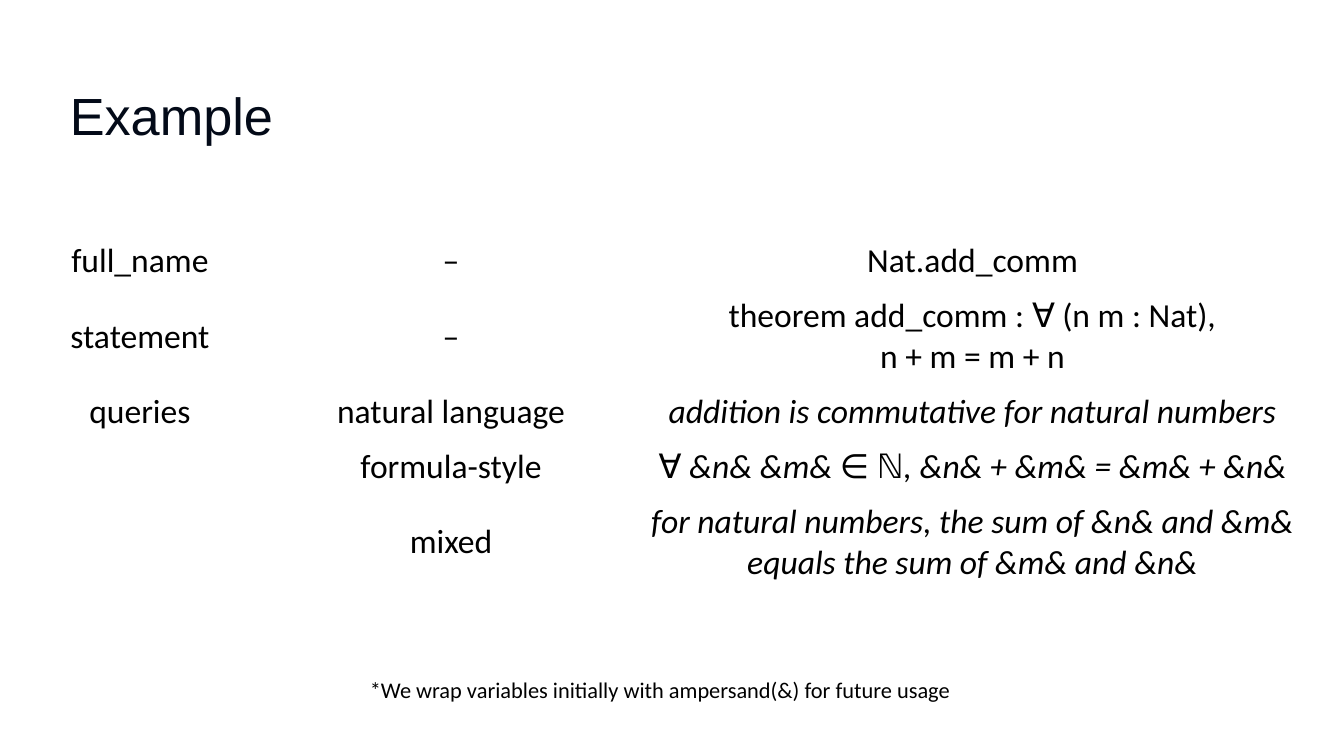
from pptx import Presentation
from pptx.dml.color import RGBColor
from pptx.enum.text import MSO_ANCHOR, PP_ALIGN
from pptx.util import Cm, Pt

LEFT, CENTER = PP_ALIGN.LEFT, PP_ALIGN.CENTER
TOP, MIDDLE = MSO_ANCHOR.TOP, MSO_ANCHOR.MIDDLE
TITLE_ONLY = 5

COLORS = {"title": "030A18", "text": "000000"}
INSETS = {f"margin_{side}": Cm(0.13) for side in ("left", "top", "right", "bottom")}
TITLE_FONT = {"name": "Arial", "size": Pt(28), "bold": False}
CELL_FONT = {"name": "Calibri", "size": Pt(18), "bold": False}
NOTE_FONT = {"name": "Calibri", "size": Pt(12)}

COLUMN_WIDTHS = (4.93, 6.83, 12.88)
LINE_HEIGHTS = {1: 0.94, 2: 1.68}
# Each row: number of text lines, italic example, cell texts
ROWS = (
    (1, False, ("full_name", "–", "Nat.add_comm")),
    (2, False, ("statement", "–", "theorem add_comm : ∀ (n m : Nat),\nn + m = m + n")),
    (1, True, ("queries", "natural language",
               "addition is commutative for natural numbers")),
    (1, True, ("", "formula-style", "∀ &n& &m& ∈ ℕ, &n& + &m& = &m& + &n&")),
    (2, True, ("", "mixed", "for natural numbers, the sum of &n& and &m& "
                            "equals the sum of &m& and &n&")),
)


def set_all(target, values):
    for name, value in values.items():
        setattr(target, name, value)


class SlideBuilder:
    """Holds the shared style and the slide being filled."""

    def __init__(self, deck):
        self.slide = deck.slides.add_slide(deck.slide_layouts[TITLE_ONLY])

    def fill_text(self, frame, text, font, color="text", align=LEFT):
        frame.text = text
        for para in frame.paragraphs:
            para.alignment = align
            set_all(para.font, font)
            para.font.color.rgb = RGBColor.from_string(COLORS[color])

    def title(self, text, left, top, width, height):
        box = self.slide.shapes.title
        set_all(box, {"left": Cm(left), "top": Cm(top),
                      "width": Cm(width), "height": Cm(height)})
        set_all(box.text_frame, {**INSETS, "vertical_anchor": MIDDLE})
        self.fill_text(box.text_frame, text, TITLE_FONT, "title")

    def note(self, text, left, top, width, height):
        box = self.slide.shapes.add_textbox(Cm(left), Cm(top), Cm(width), Cm(height))
        set_all(box.text_frame, {**INSETS, "vertical_anchor": TOP, "word_wrap": False})
        self.fill_text(box.text_frame, text, NOTE_FONT)

    def table(self, rows, left, top):
        heights = [LINE_HEIGHTS[lines] for lines, _, _ in rows]
        table = self.slide.shapes.add_table(
            len(rows), len(COLUMN_WIDTHS), Cm(left), Cm(top),
            Cm(sum(COLUMN_WIDTHS)), Cm(sum(heights))).table
        set_all(table, {"first_row": False, "horz_banding": False})
        for column, width in zip(table.columns, COLUMN_WIDTHS):
            column.width = Cm(width)
        for row, height, (_, italic, texts) in zip(table.rows, heights, rows):
            row.height = Cm(height)
            for index, (cell, text) in enumerate(zip(row.cells, texts)):
                cell.fill.background()
                set_all(cell, {**INSETS, "vertical_anchor": MIDDLE})
                is_example = index == len(texts) - 1
                font = {**CELL_FONT, "italic": italic and is_example}
                self.fill_text(cell.text_frame, text, font, align=CENTER)


def main():
    deck = Presentation()
    set_all(deck, {"slide_width": Cm(25.4), "slide_height": Cm(14.29)})
    page = SlideBuilder(deck)
    page.table(ROWS, 0.18, 4.42)
    page.title("Example", 1.19, 1.5, 23.62, 1.35)
    page.note("*We wrap variables initially with ampersand(&) for future usage",
              6.86, 12.65, 11.28, 0.69)
    deck.save("out.pptx")


if __name__ == "__main__":
    main()
